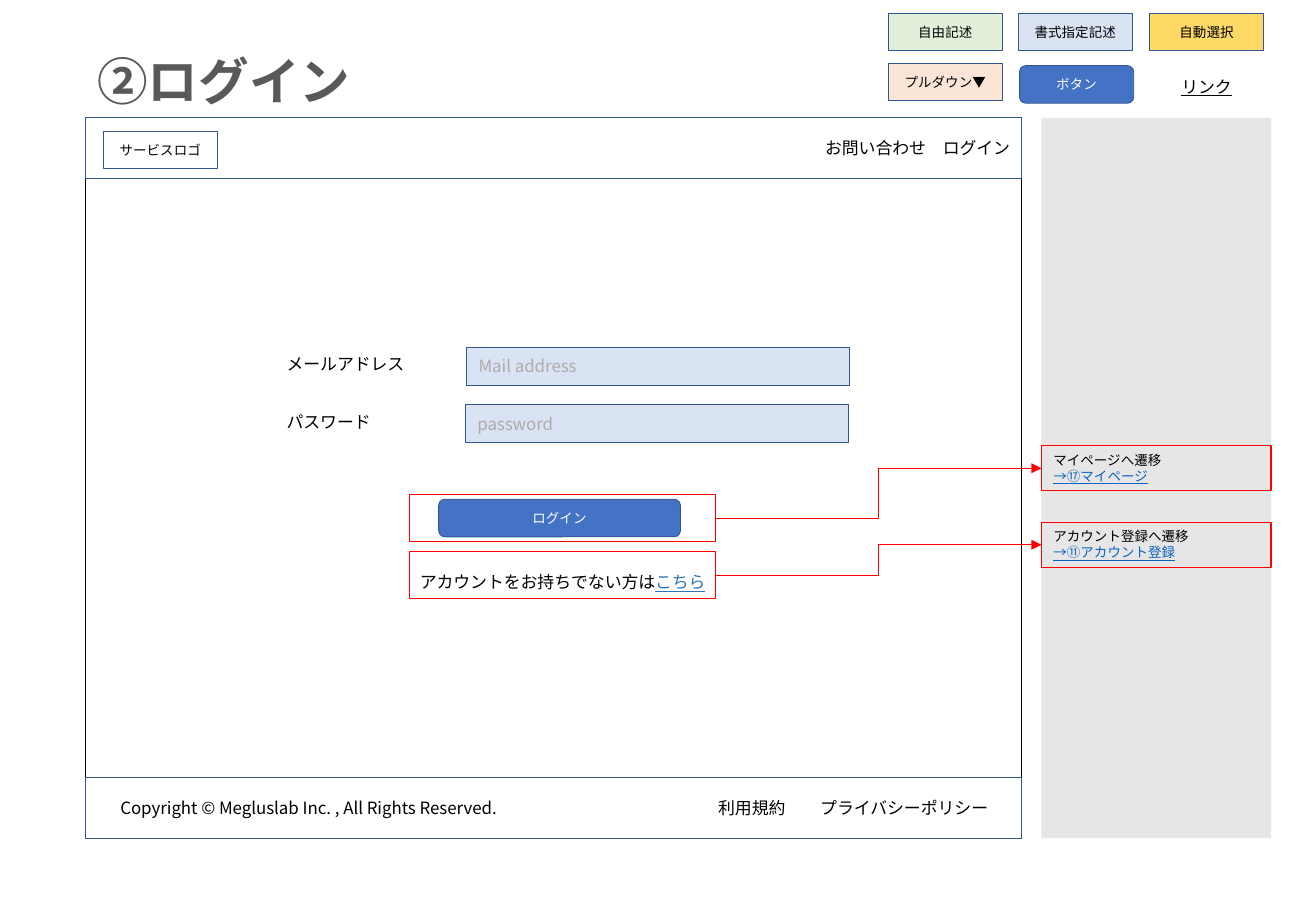
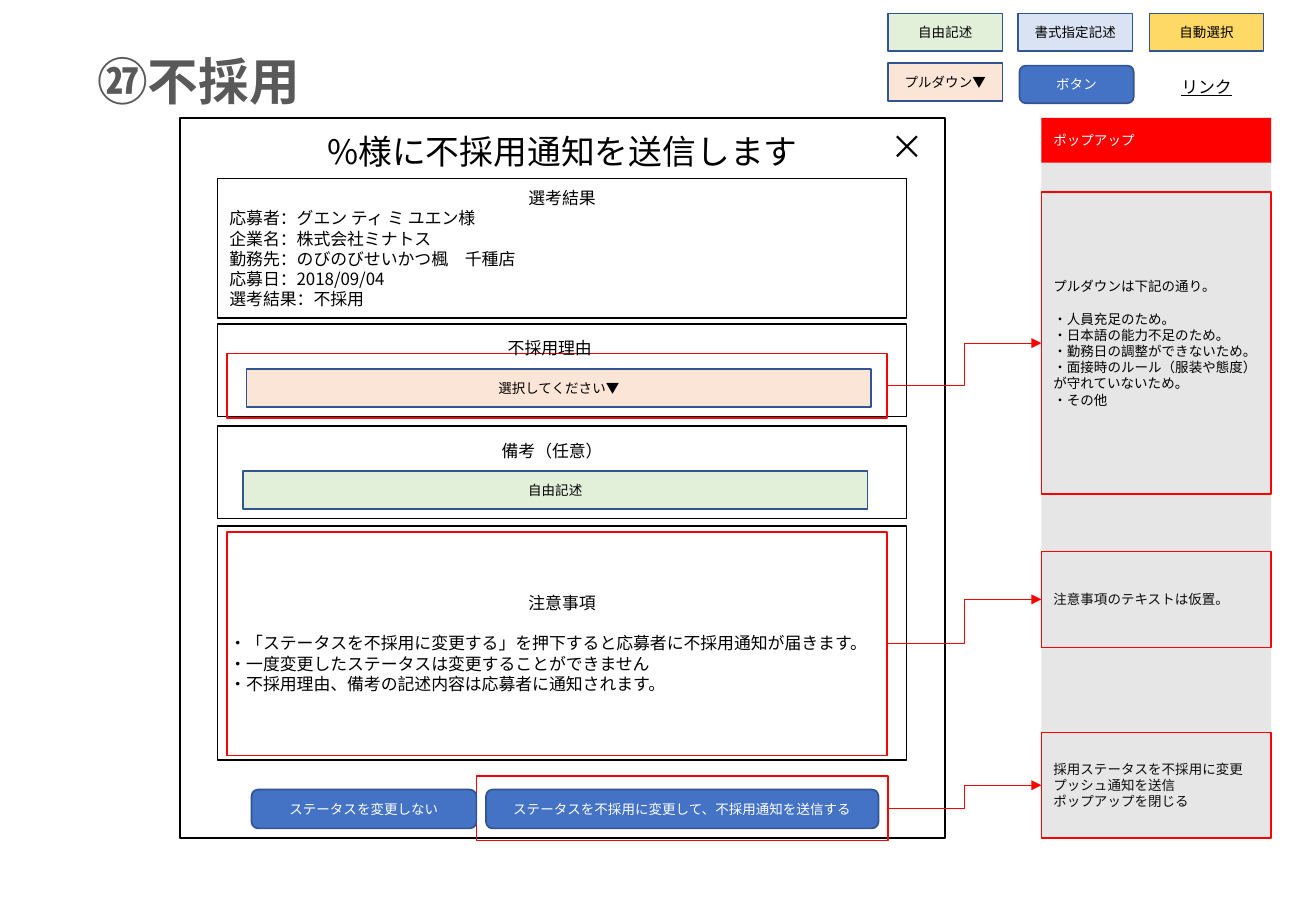
import pptx
import pptx.util
import pptx.dml.color
import pptx.enum.shapes
import pptx.enum.text
import pptx.oxml
import pptx.oxml.ns

PX = 9144  # EMU in one px: 100 px to the inch
FONT = "Noto Sans CJK JP"
COLOURS = {
    "ink": "000000", "soft ink": "0D0D0D", "title": "595959", "hint": "AFABAB",
    "white": "FFFFFF", "outline": "325491", "button": "4472C4", "free": "E2F0D9",
    "format": "DAE3F3", "auto": "FFD966", "pulldown": "FBE5D6", "side": "E7E6E6",
    "alert": "FF0000", "page link": "0563C1", "inline link": "2E75B6",
}
ALIGN = pptx.enum.text.PP_ALIGN
ANCHOR = pptx.enum.text.MSO_ANCHOR
SHAPE = pptx.enum.shapes.MSO_SHAPE
SIDE_LEFT, SIDE_WIDTH = 857, 189
TOP, HEIGHT = 97, 593
CHIP_WIDTH, CHIP_HEIGHT = 94, 31
LEGEND = [
    ("自由記述", 731, 11, "free"), ("書式指定記述", 838, 11, "format"),
    ("自動選択", 946, 11, "auto"), ("プルダウン▼", 731, 52, "pulldown"),
]


def px(length):
    return pptx.util.Emu(length * PX)


def rgb(name):
    return pptx.dml.color.RGBColor.from_string(COLOURS[name])


def assign(target, values):
    for name, value in values.items():
        setattr(target, name, value)


def a_element(tag, **attributes):
    element = pptx.oxml.parse_xml(f"<a:{tag} {pptx.oxml.ns.nsdecls('a')}/>")
    for name, value in attributes.items():
        element.set(name, str(value))
    return element


class Line:
    """One paragraph; a run is a string, or (string, colour) for an underlined link."""

    def __init__(self, *runs, align=None, gap=0, tabs=()):
        self.runs, self.align, self.gap, self.tabs = runs, align, gap, tabs


class Wireframe:
    def __init__(self, deck):
        self.deck = deck
        self.slide = None
        self.stroke = 1

    def start(self, title, stroke):
        """Open a page with its title, legend and grey notes column."""
        self.slide = self.deck.slides.add_slide(self.deck.slide_layouts[5])
        self.stroke = stroke
        heading = self.slide.shapes.title
        assign(heading, dict(zip(("left", "top", "width", "height"),
                                 map(px, (70, 36, 939, 61)))))
        self.fill_text(heading.text_frame, [title], size=30, colour="title", bold=True)
        for label, left, top, fill in LEGEND:
            self.chip(label, left, top, fill)
        self.button("ボタン", (839, 54, CHIP_WIDTH, CHIP_HEIGHT))
        self.label((946, 58, 94, 27), Line(("リンク", "ink")), align=ALIGN.CENTER)
        self.box((SIDE_LEFT, TOP, SIDE_WIDTH, HEIGHT), fill="side", line=None)

    def fill_text(self, frame, lines, size=10, colour="ink", bold=False,
                  align=ALIGN.LEFT, anchor=ANCHOR.TOP, inset=10):
        assign(frame, {
            "word_wrap": True, "auto_size": pptx.enum.text.MSO_AUTO_SIZE.NONE,
            "vertical_anchor": anchor, "margin_left": px(inset), "margin_right": px(10),
            "margin_top": px(5), "margin_bottom": px(5),
        })
        for index, line in enumerate(lines):
            line = line if isinstance(line, Line) else Line(line)
            paragraph = frame.paragraphs[0] if index == 0 else frame.add_paragraph()
            assign(paragraph, {"alignment": line.align or align,
                               "space_before": pptx.util.Pt(line.gap)})
            if line.tabs:
                stops = a_element("tabLst")
                for stop in line.tabs:
                    stops.append(a_element("tab", pos=px(stop), algn="l"))
                paragraph._p.get_or_add_pPr().append(stops)
            for piece in line.runs:
                text, link = (piece, None) if isinstance(piece, str) else piece
                run = paragraph.add_run()
                run.text = text
                assign(run.font, {"name": FONT, "size": pptx.util.Pt(size),
                                  "bold": bold, "underline": bool(link)})
                run.font.color.rgb = rgb(link or colour)
                run._r.get_or_add_rPr().append(a_element("ea", typeface=FONT))

    def box(self, at, *lines, fill=None, line="ink", stroke=None,
            kind=SHAPE.RECTANGLE, **style):
        shape = self.slide.shapes.add_shape(kind, *map(px, at))
        shape.shadow.inherit = False
        if fill:
            shape.fill.solid()
            shape.fill.fore_color.rgb = rgb(fill)
        else:
            shape.fill.background()
        if line:
            shape.line.color.rgb = rgb(line)
            shape.line.width = pptx.util.Pt(stroke or self.stroke)
        else:
            shape.line.fill.background()
        if lines:
            self.fill_text(shape.text_frame, lines, **{"anchor": ANCHOR.MIDDLE, **style})
        return shape

    def label(self, at, line, **style):
        caption = self.slide.shapes.add_textbox(*map(px, at))
        self.fill_text(caption.text_frame, [line], **style)

    def field(self, text, at, fill, **style):
        self.box(at, text, fill=fill, line="outline",
                 **{"size": 8, "align": ALIGN.CENTER, **style})

    def chip(self, text, left, top, fill=None):
        self.field(text, (left, top, CHIP_WIDTH, CHIP_HEIGHT), fill)

    def button(self, text, at):
        self.field(text, at, "button", colour="white", kind=SHAPE.ROUNDED_RECTANGLE)

    def frame(self, at):
        return self.box(at, line="alert")

    def note(self, source, top, height, *lines, **style):
        """Put a red note in the side column, with an arrow from the source frame."""
        note = self.box((SIDE_LEFT, top, SIDE_WIDTH, height), *lines,
                        line="alert", size=8, **style)
        arrow = self.slide.shapes.add_connector(
            pptx.enum.shapes.MSO_CONNECTOR.ELBOW, 0, 0, 0, 0)
        arrow.begin_connect(source, 3)
        arrow.end_connect(note, 1)
        arrow.line.color.rgb = rgb("alert")
        arrow.line.width = pptx.util.Pt(0.5)
        properties = arrow._element.spPr
        properties.find(pptx.oxml.ns.qn("a:ln")).append(a_element("tailEnd", type="triangle"))
        properties.append(a_element("effectLst"))


def build_login(page):
    page.start("②ログイン", stroke=0.5)
    left, width, bar = 70, 771, 50
    page.box((left, TOP, width, HEIGHT))
    page.box((left, TOP, width, bar), "お問い合わせ　ログイン",
             line="outline", align=ALIGN.RIGHT)
    page.box((left, TOP + HEIGHT - bar, width, bar),
             Line("Copyright © Megluslab Inc. , All Rights Reserved.\t利用規約\tプライバシーポリシー",
                  tabs=(492, 576)),
             line="outline", inset=29)
    page.chip("サービスロゴ", 85, 108)

    for label, label_top, hint, field_left, field_top in (
            ("メールアドレス", 286, "Mail address", 384, 286),
            ("パスワード", 334, "password", 383, 333)):
        page.label((226, label_top, 158, 27), label)
        page.field(hint, (field_left, field_top, 315, 31), "format",
                   size=10, colour="hint", align=ALIGN.LEFT)

    page.button("ログイン", (361, 411, 199, 31))
    page.label((274, 466, 378, 27),
               Line("アカウントをお持ちでない方は", ("こちら", "inline link")),
               align=ALIGN.CENTER)
    for frame_top, note_top, text, target in (
            (407, 367, "マイページへ遷移", "→⑰マイページ"),
            (454, 430, "アカウント登録へ遷移", "→⑪アカウント登録")):
        page.note(page.frame((337, frame_top, 252, 39)), note_top, 37,
                  text, Line((target, "page link")), stroke=0.75, anchor=ANCHOR.TOP)


def build_rejection(page):
    page.start("㉗不採用", stroke=1)
    left, width = 148, 630
    page.box((left, TOP, width, HEIGHT))
    page.label((left, 103, width, 44), "%様に不採用通知を送信します",
               size=20, align=ALIGN.CENTER)
    page.label((715, 99, 63, 44), "×", size=20, align=ALIGN.CENTER)
    page.box((SIDE_LEFT, TOP, SIDE_WIDTH, 37), "ポップアップ",
             fill="alert", line=None, size=8, colour="white")

    panel_left, panel_width = 179, 567
    page.box((panel_left, 147, panel_width, 115),
             Line("選考結果", align=ALIGN.CENTER),
             "応募者：グエン ティ ミ ユエン様",
             "企業名：株式会社ミナトス",
             "勤務先：のびのびせいかつ楓　千種店",
             "応募日：2018/09/04",
             "選考結果：不採用")
    for top in (267, 351):
        page.box((panel_left, top, panel_width, 76))
    page.box((panel_left, 433, panel_width, 193),
             Line("注意事項", align=ALIGN.CENTER),
             Line("・「ステータスを不採用に変更する」を押下すると応募者に不採用通知が届きます。", gap=12),
             "・一度変更したステータスは変更することができません",
             "・不採用理由、備考の記述内容は応募者に通知されます。")

    reason = page.frame((187, 291, 543, 53))
    caution = page.frame((187, 438, 543, 184))
    submit = page.frame((392, 639, 339, 53))
    page.label((408, 273, 118, 27), "不採用理由")
    page.field("選択してください▼", (203, 304, 514, 31), "pulldown")
    page.label((403, 358, 118, 27), "備考（任意）")
    page.field("自由記述", (200, 388, 514, 31), "free")
    page.button("ステータスを変更しない", (207, 650, 185, 32))
    page.button("ステータスを不採用に変更して、不採用通知を送信する", (400, 650, 323, 32))

    page.note(reason, 158, 249,
              "プルダウンは下記の通り。",
              Line("・人員充足のため。", gap=9.6),
              "・日本語の能力不足のため。",
              "・勤務日の調整ができないため。",
              "・面接時のルール（服装や態度）が守れていないため。",
              "・その他")
    page.note(caution, 454, 79, "注意事項のテキストは仮置。", colour="soft ink")
    page.note(submit, 603, 87, "採用ステータスを不採用に変更", "プッシュ通知を送信",
              "ポップアップを閉じる", colour="soft ink")


def main():
    deck = pptx.Presentation()
    assign(deck, {"slide_width": px(1083), "slide_height": px(750)})
    page = Wireframe(deck)
    build_login(page)
    build_rejection(page)
    deck.save("out.pptx")


if __name__ == "__main__":
    main()
